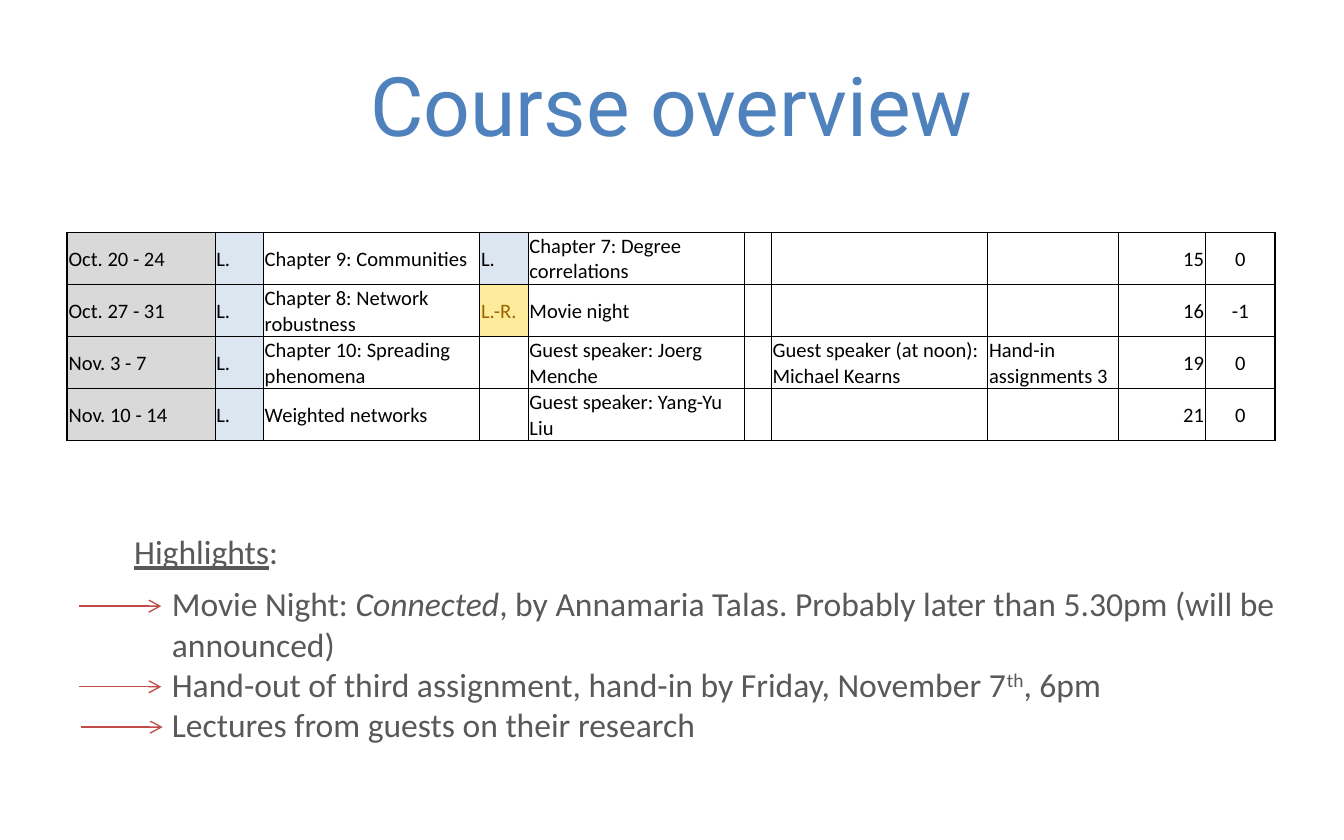
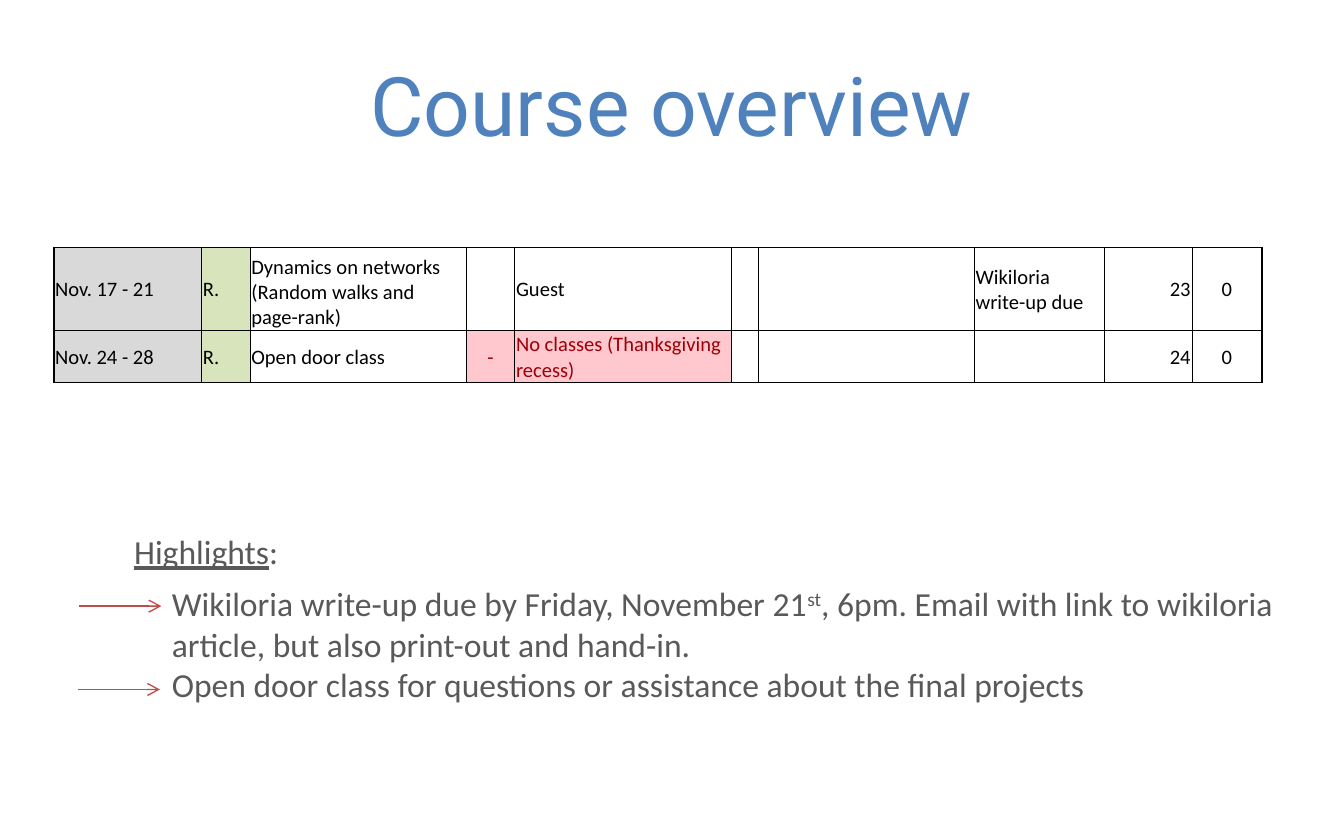
"""Build two course overview slides, each with a schedule table and highlights."""
from lxml import etree
from pptx import Presentation
from pptx.dml.color import RGBColor
from pptx.enum.shapes import MSO_CONNECTOR
from pptx.enum.text import MSO_ANCHOR, MSO_AUTO_SIZE, PP_ALIGN
from pptx.oxml.ns import qn
from pptx.util import Inches, Pt

COLORS = {
    "title": "4F81BD", "body": "595959", "arrow": "BF4C48", "ink": "000000",
    "date": "D9D9D9", "left": "DCE6F1", "right": "D8E4BC",
    "shared": "FFEB9C", "shared ink": "9C6500", "off": "FFC7CE", "off ink": "9C0006",
}
BODY_FONT = "Calibri"
COLUMN_WIDTHS = [1.1, 0.36, 1.61, 0.36, 1.61, 0.2, 1.61, 0.97, 0.65, 0.52]
COLUMN_ALIGN = {8: PP_ALIGN.RIGHT, 9: PP_ALIGN.CENTER}
CELL_TONES = {
    "L.": ("left", "ink"),
    "R.": ("right", "ink"),
    "L.-R.": ("shared", "shared ink"),
    "-": ("off", "off ink"),
    "No classes (Thanksgiving recess)": ("off", "off ink"),
}
BOTTOM_CELLS = {
    "Chapter 10: Spreading phenomena",
    "Dynamics on networks (Random walks and page-rank)",
}
ARROW_LENGTH = 0.61

OVERVIEWS = [
    {
        "corner": (0.5, 1.73),
        "row_heights": [0.37] * 4,
        "weeks": [
            ["Oct. 20 - 24", "L.", "Chapter 9: Communities", "L.",
             "Chapter 7: Degree correlations", "", "", "", "15", "0"],
            ["Oct. 27 - 31", "L.", "Chapter 8: Network robustness", "L.-R.",
             "Movie night", "", "", "", "16", "-1"],
            ["Nov. 3 - 7", "L.", "Chapter 10: Spreading phenomena", "",
             "Guest speaker: Joerg Menche", "", "Guest speaker (at noon): Michael Kearns",
             "Hand-in assignments 3", "19", "0"],
            ["Nov. 10 - 14", "L.", "Weighted networks", "",
             "Guest speaker: Yang-Yu Liu", "", "", "", "21", "0"],
        ],
        "highlights": [
            [("Movie Night: ", ""), ("Connected", "italic"),
             (", by Annamaria Talas. Probably later than 5.30pm (will be announced)", "")],
            [("Hand-out of third assignment, hand-in by Friday, November 7", ""),
             ("th", "super"), (", 6pm", "")],
            [("Lectures from guests on their research", "")],
        ],
        "highlights_height": 1.31,
        "arrow_starts": [(0.59, 4.51), (0.59, 5.11), (0.6, 5.41)],
    },
    {
        "corner": (0.4, 1.84),
        "row_heights": [0.62, 0.37],
        "weeks": [
            ["Nov. 17 - 21", "R.", "Dynamics on networks (Random walks and page-rank)", "",
             "Guest", "", "", "Wikiloria write-up due", "23", "0"],
            ["Nov. 24 - 28", "R.", "Open door class", "-",
             "No classes (Thanksgiving recess)", "", "", "", "24", "0"],
        ],
        "highlights": [
            [("Wikiloria write-up due by Friday, November 21", ""), ("st", "super"),
             (", 6pm. Email with link to wikiloria article, but also print-out and hand-in.", "")],
            [("Open door class for questions or assistance about the final projects", "")],
        ],
        "highlights_height": 1.01,
        "arrow_starts": [(0.59, 4.51), (0.58, 5.13)],
    },
]


def color(name):
    return RGBColor.from_string(COLORS[name])


def set_font(paragraph, size, ink, family=BODY_FONT):
    paragraph.font.size = Pt(size)
    paragraph.font.name = family
    paragraph.font.color.rgb = color(ink)


def add_text(slide, box, lines, size=18, ink="body", family=BODY_FONT):
    frame = slide.shapes.add_textbox(*map(Inches, box)).text_frame
    frame.word_wrap = True
    frame.auto_size = MSO_AUTO_SIZE.SHAPE_TO_FIT_TEXT
    for index, pieces in enumerate(lines):
        paragraph = frame.add_paragraph() if index else frame.paragraphs[0]
        set_font(paragraph, size, ink, family)
        for text, style in pieces:
            run = paragraph.add_run()
            run.text = text
            if style == "italic":
                run.font.italic = True
            elif style == "underline":
                run.font.underline = True
            elif style == "super":
                run._r.get_or_add_rPr().set("baseline", "30000")
    return frame


def add_title(slide):
    frame = add_text(slide, (0.5, 0.25, 9, 1.04), [[("Course overview", "")]],
                     44, "title", "Roboto")
    frame.auto_size = MSO_AUTO_SIZE.NONE
    frame.vertical_anchor = MSO_ANCHOR.MIDDLE
    frame.paragraphs[0].alignment = PP_ALIGN.CENTER


def set_borders(cell, column):
    heavy_side = {0: "L", len(COLUMN_WIDTHS) - 1: "R"}.get(column)
    properties = cell._tc.get_or_add_tcPr()
    for side in "LRTB":
        border = etree.SubElement(properties, qn(f"a:ln{side}"))
        border.set("w", str(Pt(1 if side == heavy_side else 0.5)))
        fill = etree.SubElement(border, qn("a:solidFill"))
        etree.SubElement(fill, qn("a:srgbClr")).set("val", COLORS["ink"])


def fill_cell(cell, text, column):
    tone, ink = CELL_TONES.get(text, (None if column else "date", "ink"))
    set_borders(cell, column)
    if tone:
        cell.fill.solid()
        cell.fill.fore_color.rgb = color(tone)
    else:
        cell.fill.background()
    cell.margin_left = cell.margin_right = cell.margin_top = Inches(0.01)
    cell.margin_bottom = 0
    cell.vertical_anchor = MSO_ANCHOR.BOTTOM if text in BOTTOM_CELLS else MSO_ANCHOR.MIDDLE
    cell.text = text
    paragraph = cell.text_frame.paragraphs[0]
    paragraph.alignment = PP_ALIGN.CENTER if text == "-" else COLUMN_ALIGN.get(column, PP_ALIGN.LEFT)
    set_font(paragraph, 11, ink)


def add_schedule(slide, corner, weeks, row_heights):
    size = (sum(COLUMN_WIDTHS), sum(row_heights))
    schedule = slide.shapes.add_table(
        len(weeks), len(COLUMN_WIDTHS), *map(Inches, corner + size)).table
    schedule.first_row = schedule.horz_banding = False
    for column, width in zip(schedule.columns, COLUMN_WIDTHS):
        column.width = Inches(width)
    for row, height, week in zip(schedule.rows, row_heights, weeks):
        row.height = Inches(height)
        for column, text in enumerate(week):
            fill_cell(row.cells[column], text, column)


def add_arrow(slide, x, y):
    arrow = slide.shapes.add_connector(
        MSO_CONNECTOR.STRAIGHT, *map(Inches, (x, y, x + ARROW_LENGTH, y)))
    arrow.line.color.rgb = color("arrow")
    arrow.line.width = Pt(0.75)
    etree.SubElement(arrow.line._get_or_add_ln(), qn("a:tailEnd")).set("type", "arrow")
    etree.SubElement(arrow._element.spPr, qn("a:effectLst"))


def main():
    deck = Presentation()
    deck.slide_width, deck.slide_height = Inches(10), Inches(6.25)
    for overview in OVERVIEWS:
        slide = deck.slides.add_slide(deck.slide_layouts[6])
        add_title(slide)
        add_schedule(slide, overview["corner"], overview["weeks"], overview["row_heights"])
        add_text(slide, (0.9, 3.9, 3.46, 0.4), [[("Highlights", "underline"), (":", "")]])
        add_text(slide, (1.18, 4.29, 8.61, overview["highlights_height"]),
                 overview["highlights"])
        for start in overview["arrow_starts"]:
            add_arrow(slide, *start)
    deck.save("out.pptx")


if __name__ == "__main__":
    main()
